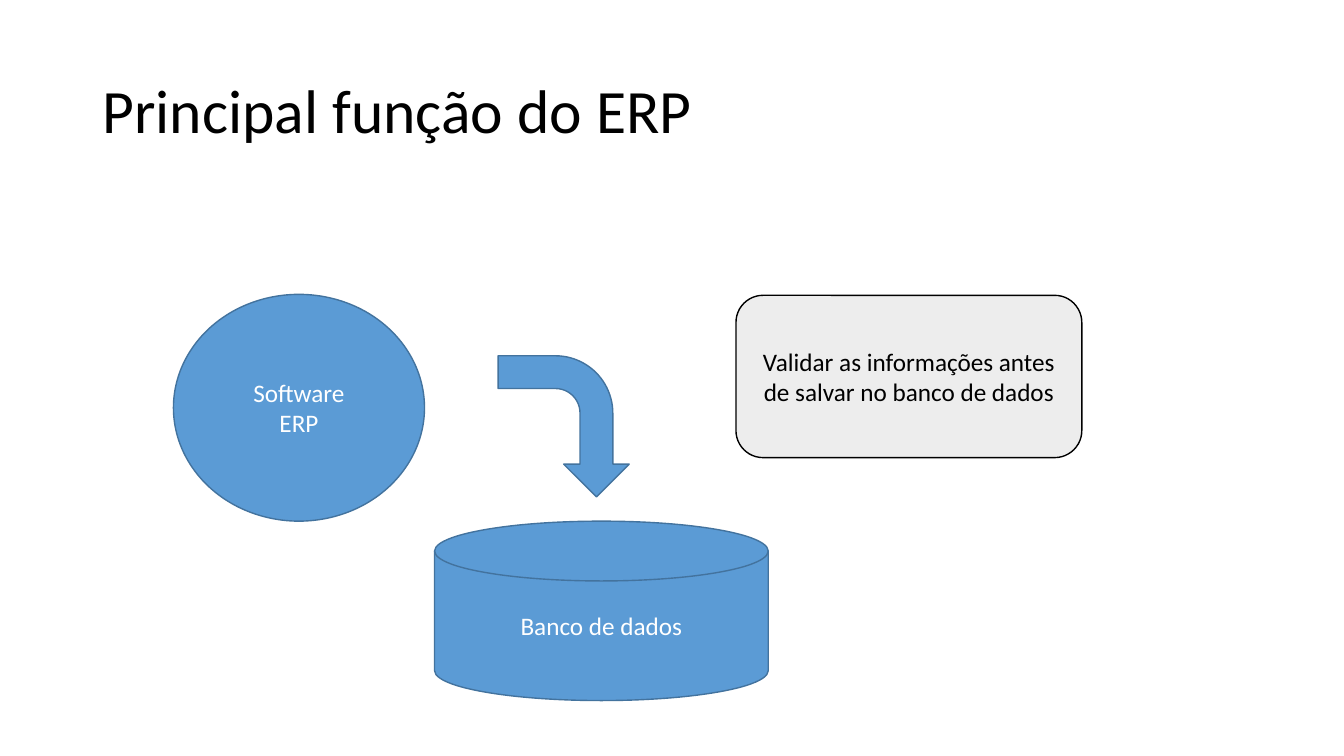
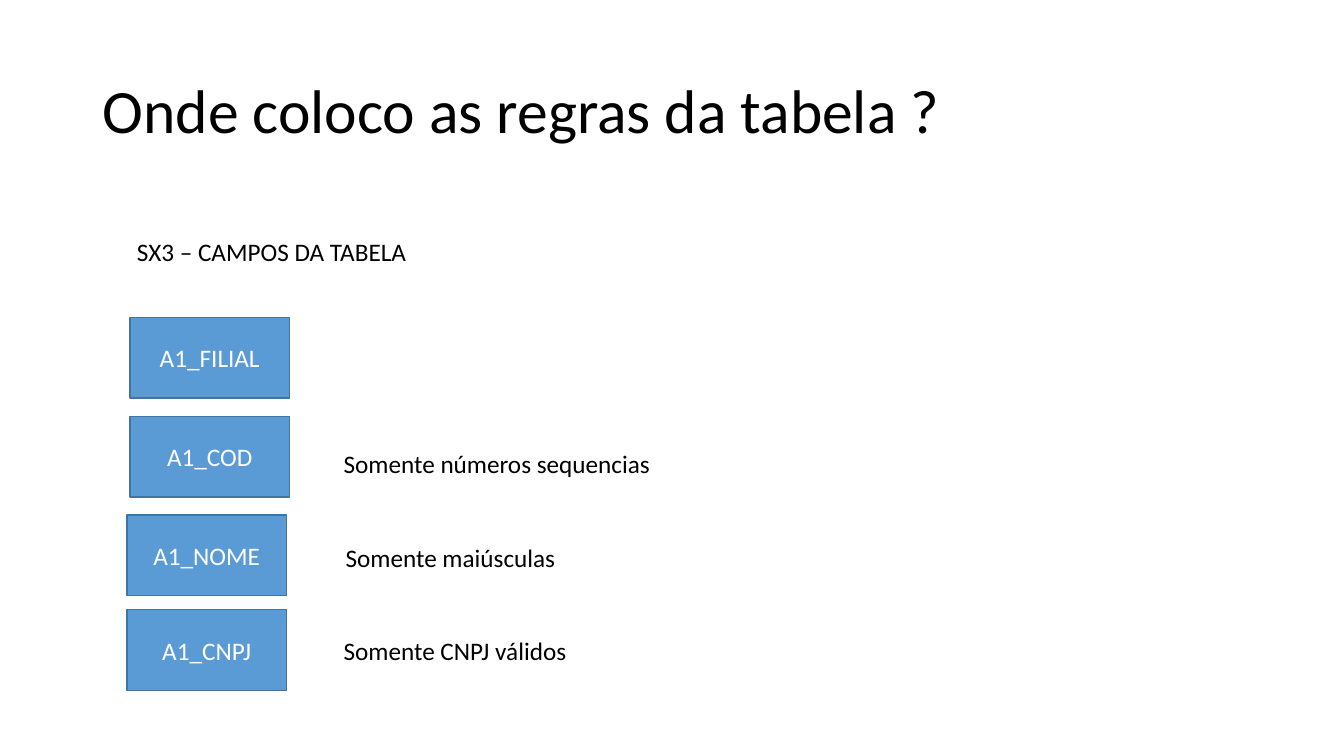
"""Builds two slides on what an ERP does and where table rules live."""
from dataclasses import dataclass

from pptx import Presentation
from pptx import util as u
from pptx.dml.color import RGBColor
from pptx.enum import shapes, text


@dataclass(frozen=True)
class Theme:
    font: str = "Calibri"
    title_size: int = 44
    body_size: int = 18
    line_width: int = 1
    black: RGBColor = RGBColor.from_string("000000")
    white: RGBColor = RGBColor.from_string("FFFFFF")
    blue: RGBColor = RGBColor.from_string("5B9BD5")
    blue_edge: RGBColor = RGBColor.from_string("43739E")
    gray: RGBColor = RGBColor.from_string("EDEDED")


theme = Theme()
Geometry = shapes.MSO_SHAPE


def write(frame, lines, color, size=theme.body_size, align=text.PP_ALIGN.LEFT, spacing=None):
    for index, line in enumerate(lines):
        paragraph = frame.add_paragraph() if index else frame.paragraphs[0]
        paragraph.alignment = align
        paragraph.line_spacing = spacing
        run = paragraph.add_run()
        run.text = line
        run.font.name = theme.font
        run.font.size = u.Pt(size)
        run.font.color.rgb = color


def add_block(slide, geometry, box, lines=(), fill=theme.blue, edge=theme.blue_edge, ink=theme.white):
    block = slide.shapes.add_shape(geometry, *map(u.Inches, box))
    block.shadow.inherit = False
    block.fill.solid()
    block.fill.fore_color.rgb = fill
    block.line.color.rgb = edge
    block.line.width = u.Pt(theme.line_width)
    block.text_frame.word_wrap = True
    block.text_frame.vertical_anchor = text.MSO_ANCHOR.MIDDLE
    write(block.text_frame, lines, ink, align=text.PP_ALIGN.CENTER)
    return block


deck = Presentation()
deck.slide_width, deck.slide_height = u.Inches(13.33), u.Inches(7.5)

slides = []
for heading in ("Principal função do ERP", "Onde coloco as regras da tabela ?"):
    slide = deck.slides.add_slide(deck.slide_layouts[6])
    title = slide.shapes.add_textbox(*map(u.Inches, (0.92, 0.4, 11.5, 1.45))).text_frame
    title.word_wrap = True
    title.vertical_anchor = text.MSO_ANCHOR.MIDDLE
    write(title, [heading], theme.black, theme.title_size, spacing=0.9)
    slides.append(slide)
purpose, rules = slides

add_block(purpose, Geometry.OVAL, (1.72, 2.92, 2.49, 2.25), ["Software", "ERP"])
save_arrow = add_block(purpose, Geometry.BENT_ARROW, (4.89, 3.58, 1.4, 1.3))
save_arrow.rotation = 90
add_block(purpose, Geometry.FLOWCHART_MAGNETIC_DISK, (4.31, 5.17, 3.31, 1.78), ["Banco de dados"])
add_block(purpose, Geometry.ROUNDED_RECTANGLE, (7.3, 2.93, 3.43, 1.61),
          ["Validar as informações antes de salvar no banco de dados"],
          theme.gray, theme.black, theme.black)

fields = [
    ("A1_FILIAL", 1.29, 3.15),
    ("A1_COD", 1.29, 4.13),
    ("A1_NOME", 1.26, 5.11),
    ("A1_CNPJ", 1.26, 6.05),
]
for field, left, top in fields:
    add_block(rules, Geometry.RECTANGLE, (left, top, 1.58, 0.8), [field])

captions = [
    ("SX3 – CAMPOS DA TABELA", 1.26, 2.3, 2.9),
    ("Somente números sequencias", 3.31, 4.4, 3.28),
    ("Somente maiúsculas", 3.33, 5.33, 2.3),
    ("Somente CNPJ válidos", 3.31, 6.25, 2.44),
]
for caption, left, top, width in captions:
    frame = rules.shapes.add_textbox(*map(u.Inches, (left, top, width, 0.4))).text_frame
    frame.word_wrap = False
    frame.auto_size = text.MSO_AUTO_SIZE.SHAPE_TO_FIT_TEXT
    write(frame, [caption], theme.black)

deck.save("out.pptx")
